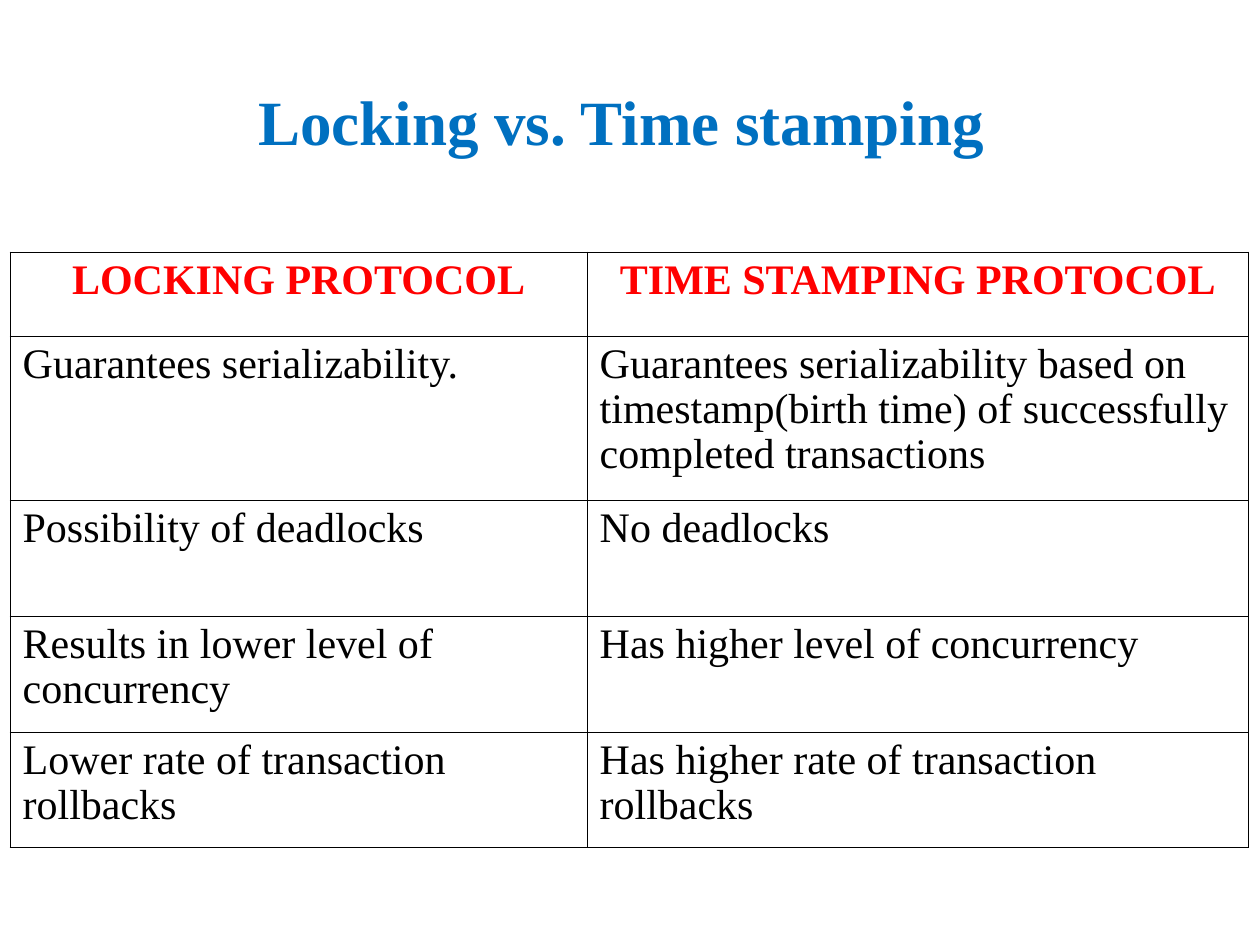
import pptx
import pptx.dml.color
import pptx.enum.text
import pptx.oxml
import pptx.oxml.ns
import pptx.util

Inches = pptx.util.Inches
Pt = pptx.util.Pt
PP_ALIGN = pptx.enum.text.PP_ALIGN

COLORS = {"title": "0070C0", "heading": "FF0000", "body": "000000", "border": "000000"}
FONT = "Times New Roman"
LINE_SPACING = 0.97


def write(paragraph, text, size, color, bold, align):
    paragraph.alignment = align
    paragraph.line_spacing = LINE_SPACING
    run = paragraph.add_run()
    run.text = text
    run.font.name = FONT
    run.font.size = Pt(size)
    run.font.bold = bold
    run.font.color.rgb = pptx.dml.color.RGBColor.from_string(COLORS[color])


def add_borders(cell):
    properties = cell._tc.get_or_add_tcPr()
    for side in ("lnL", "lnR", "lnT", "lnB"):
        properties.append(pptx.oxml.parse_xml(
            f'<a:{side} {pptx.oxml.ns.nsdecls("a")} w="{Pt(0.45)}"><a:solidFill>'
            f'<a:srgbClr val="{COLORS["border"]}"/></a:solidFill></a:{side}>'
        ))


presentation = pptx.Presentation()
presentation.slide_width = Inches(10)
presentation.slide_height = Inches(7.5)
slide = presentation.slides.add_slide(presentation.slide_layouts[5])

title = slide.shapes.title
title.left, title.top = Inches(0.5), Inches(0.42)
title.width, title.height = Inches(8.86), Inches(1.12)
title.text_frame.auto_size = pptx.enum.text.MSO_AUTO_SIZE.NONE
title.text_frame.vertical_anchor = pptx.enum.text.MSO_ANCHOR.MIDDLE
write(title.text_frame.paragraphs[0], "Locking vs. Time stamping", 36, "title", True, PP_ALIGN.CENTER)

comparison = [
    ("LOCKING PROTOCOL", "TIME STAMPING PROTOCOL"),
    ("Guarantees serializability.",
     "Guarantees serializability based on timestamp(birth time) of successfully completed transactions"),
    ("Possibility of deadlocks", "No deadlocks"),
    ("Results in lower level of concurrency", "Has higher level of concurrency"),
    ("Lower rate of transaction rollbacks", "Has higher rate of transaction rollbacks"),
]
column_widths = [4.58, 5.25]
row_heights = [0.67, 1.3] + [0.92] * 3

protocols = slide.shapes.add_table(
    len(comparison), len(column_widths),
    Inches(0.08), Inches(2), Inches(sum(column_widths)), Inches(sum(row_heights)),
).table
protocols.first_row = False
protocols.horz_banding = False
for column, width in zip(protocols.columns, column_widths):
    column.width = Inches(width)

for row_index, (row, height, texts) in enumerate(zip(protocols.rows, row_heights, comparison)):
    row.height = Inches(height)
    is_heading = row_index == 0
    for cell, text in zip(row.cells, texts):
        cell.margin_left = cell.margin_right = Inches(0.1)
        cell.margin_top = cell.margin_bottom = Inches(0.05)
        add_borders(cell)
        cell.fill.background()
        write(
            cell.text_frame.paragraphs[0], text, 24,
            "heading" if is_heading else "body", is_heading,
            PP_ALIGN.CENTER if is_heading else PP_ALIGN.LEFT,
        )

presentation.save("out.pptx")
